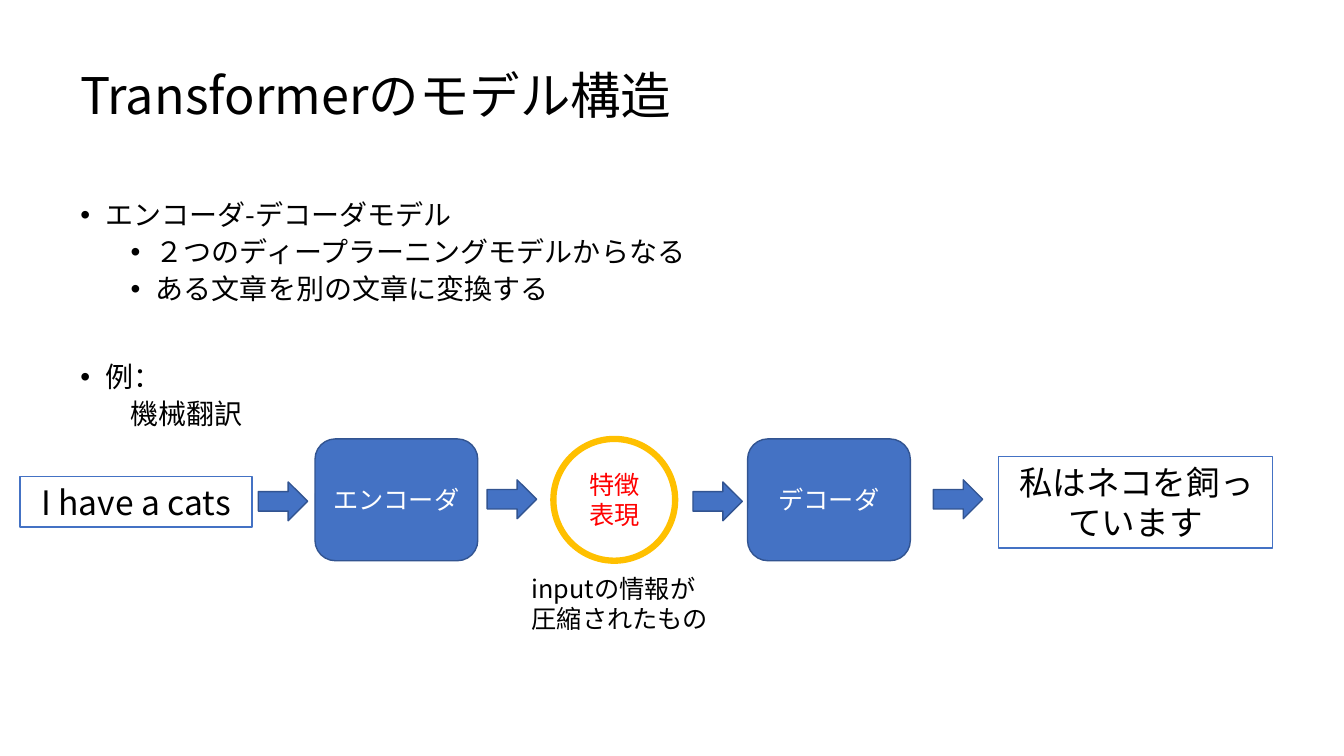
from lxml.etree import SubElement
from pptx import Presentation
from pptx.dml.color import RGBColor
from pptx.enum.shapes import MSO_SHAPE
from pptx.enum.text import MSO_ANCHOR, PP_ALIGN
from pptx.oxml.ns import qn
from pptx.util import Pt

PX = 9525
FONT = "Noto Sans CJK JP"
BLUE, EDGE, GOLD = "4472C4", "325491", "FFC000"
BLACK, WHITE, RED = "000000", "FFFFFF", "FF0000"


def paint(target, color):
    """Set a colour format to a hex colour."""
    target.rgb = RGBColor.from_string(color)


def style(para, size, color):
    """Format every run of a paragraph."""
    for run in para.runs:
        run.font.size = Pt(size)
        run.font.name = FONT
        paint(run.font.color, color)
        SubElement(run.font._element, qn("a:ea"), typeface=FONT)


def text_box(slide, box, text, size, anchor=MSO_ANCHOR.TOP):
    """Add a wrapping text box and return its frame."""
    frame = slide.shapes.add_textbox(*(n * PX for n in box)).text_frame
    frame.word_wrap = True
    frame.vertical_anchor = anchor
    frame.text = text
    for para in frame.paragraphs:
        style(para, size, BLACK)
    return frame


def title(slide, box):
    """Add the slide title."""
    frame = text_box(slide, box, "Transformerのモデル構造", 36, MSO_ANCHOR.MIDDLE)
    frame.paragraphs[0].line_spacing = 0.9


def outline(slide, box):
    """Add the bullet list as text, level, left indent, bullet and space before."""
    rows = [
        ("エンコーダ-デコーダモデル", 0, 24, True, 10),
        ("２つのディープラーニングモデルからなる", 1, 72, True, 5),
        ("ある文章を別の文章に変換する", 1, 72, True, 5),
        ("例：", 0, 24, True, 41),
        ("機械翻訳", 1, 48, False, 5),
    ]
    frame = text_box(slide, box, "\n".join(row[0] for row in rows), 20)
    for para, (_, level, left, bullet, gap) in zip(frame.paragraphs, rows):
        para.level = level
        para.line_spacing = 0.9
        para.space_before = Pt(gap)
        props = para._p.get_or_add_pPr()
        props.set("marL", str(left * PX))
        props.set("indent", str(-24 * PX if bullet else 0))
        if bullet:
            SubElement(props, qn("a:buFont"), typeface="Arial")
            SubElement(props, qn("a:buChar"), char="•")


def node(slide, kind, box, fill, line, width=1, text="", size=18, color=WHITE):
    """Add one shape of the flow with centred text."""
    shape = slide.shapes.add_shape(kind, *(n * PX for n in box))
    shape.shadow.inherit = False
    if fill:
        shape.fill.solid()
        paint(shape.fill.fore_color, fill)
    else:
        shape.fill.background()
    paint(shape.line.color, line)
    shape.line.width = Pt(width)
    if text:
        frame = shape.text_frame
        frame.word_wrap = True
        frame.vertical_anchor = MSO_ANCHOR.MIDDLE
        frame.text = text
        para = frame.paragraphs[0]
        para.alignment = PP_ALIGN.CENTER
        style(para, size, color)


def flow(slide, box):
    """Add the chain from input sentence to output sentence and its caption."""
    left, top, _, high = box
    mid = top + high // 2
    for x, wide, tall, text in [(0, 221, 48, "I have a cats"),
                                (932, 261, 87, "私はネコを飼っています")]:
        place = (left + x, mid + 2 - tall // 2, wide, tall)
        node(slide, MSO_SHAPE.RECTANGLE, place, WHITE, BLUE, 1, text, 24, BLACK)
    for x, drop in [(227, 2), (445, 0), (641, 2), (870, 0)]:
        place = (left + x, mid + drop - 19, 47, 37)
        node(slide, MSO_SHAPE.RIGHT_ARROW, place, BLUE, EDGE)
    for x, text in [(281, "エンコーダ"), (693, "デコーダ")]:
        place = (left + x, top, 155, high)
        node(slide, MSO_SHAPE.ROUNDED_RECTANGLE, place, BLUE, EDGE, 1, text)
    place = (left + 508, top, high, high)
    node(slide, MSO_SHAPE.OVAL, place, None, GOLD, 4.5, "特徴表現", 18, RED)
    place = (left + 478, top + high + 7, 192, 68)
    text_box(slide, place, "inputの情報が圧縮されたもの", 18)


def main():
    """Build and save the slide."""
    deck = Presentation()
    deck.slide_width, deck.slide_height = 1280 * PX, 720 * PX
    slide = deck.slides.add_slide(deck.slide_layouts[6])
    title(slide, (67, 34, 1145, 119))
    outline(slide, (67, 187, 1145, 462))
    flow(slide, (19, 418, 1193, 116))
    deck.save("out.pptx")


if __name__ == "__main__":
    main()
